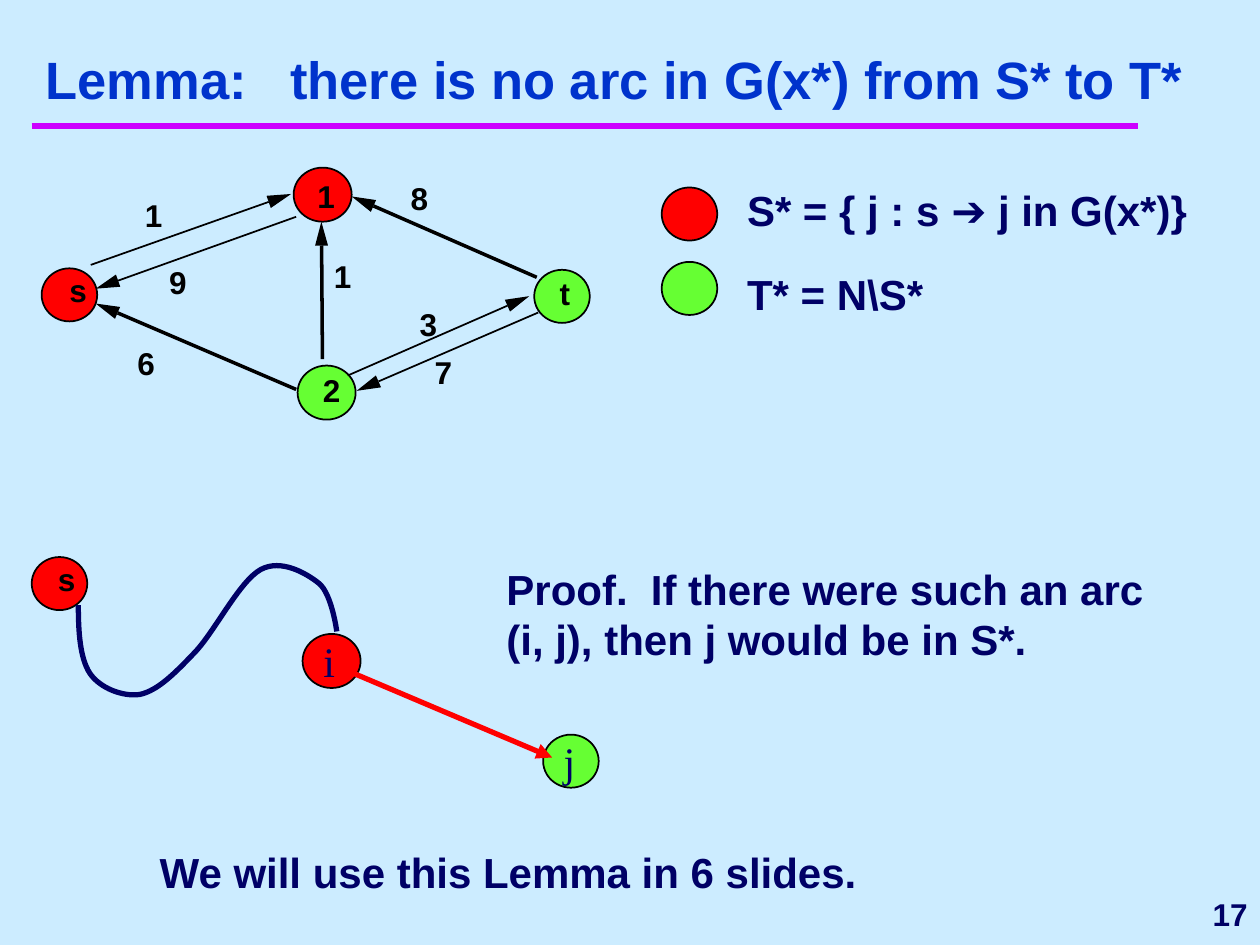
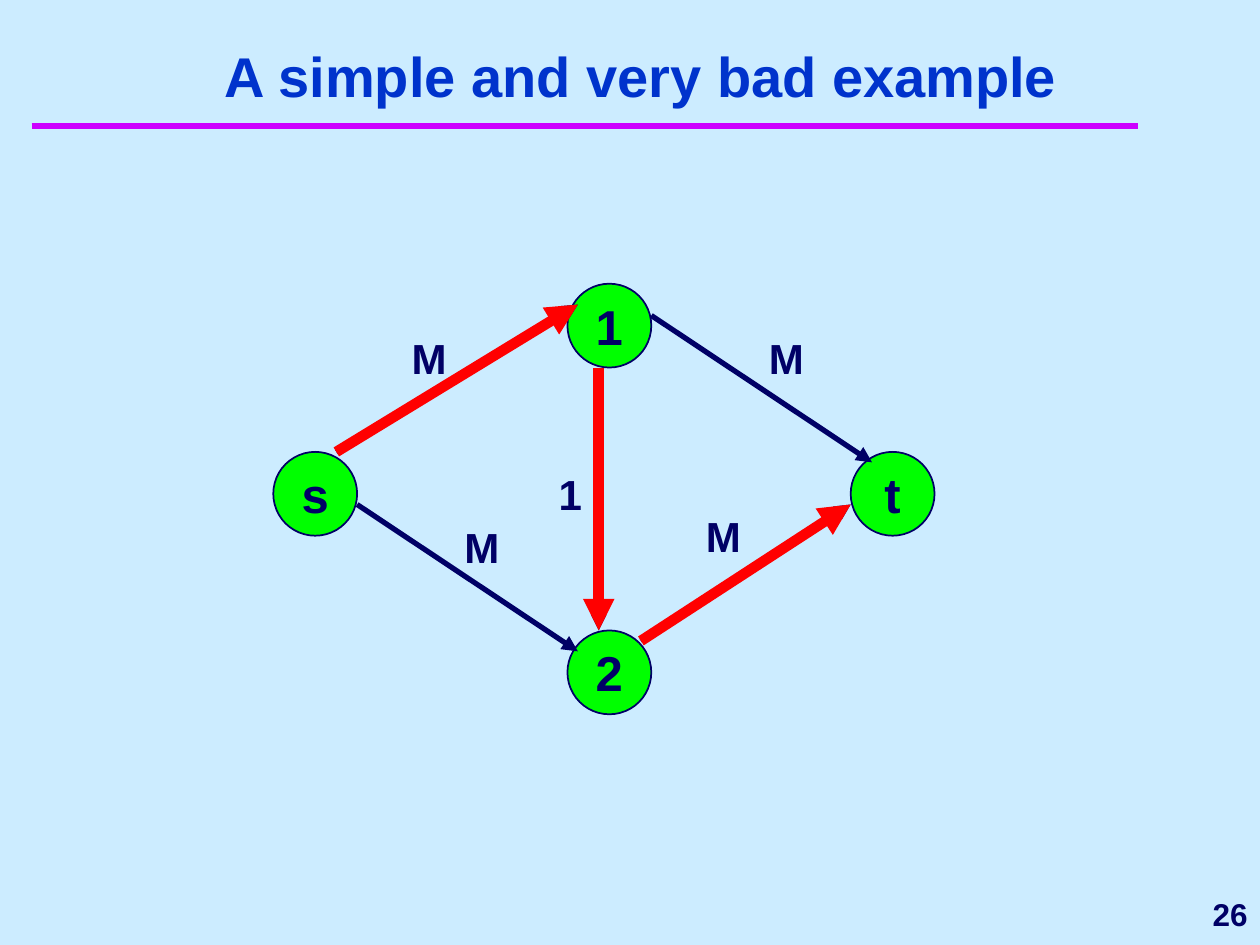
"""Build two lecture slides on residual networks and augmenting paths."""
import math

import lxml.etree
import pptx
import pptx.dml.color
import pptx.enum.shapes
import pptx.enum.text
import pptx.oxml.ns
import pptx.util

Cm, Pt = pptx.util.Cm, pptx.util.Pt
qn = pptx.oxml.ns.qn
ALIGN = pptx.enum.text.PP_ALIGN
ANCHOR = pptx.enum.text.MSO_ANCHOR
SHAPE = pptx.enum.shapes.MSO_SHAPE

SKY, BLUE, NAVY, MAGENTA = "CCECFF", "0033CC", "000066", "CC00FF"
BLACK, RED, LIME, GREEN = "000000", "FF0000", "66FF33", "00FF00"

SMALL_NODE = (1.12, 1.07)
LARGE_NODE = (1.17, 1.09)
HEAD_LENGTH, HEAD_WIDTH = 0.48, 0.26


def rgb(color):
    """Return the colour for a hex string."""
    return pptx.dml.color.RGBColor.from_string(color)


def apply(obj, values):
    """Set every attribute named in a dict of format values."""
    for name, value in values.items():
        setattr(obj, name, value)


def write(sp, text, size, color=NAVY, font="Arial", bold=True, align=ALIGN.LEFT,
          before=0, insets=(0.25, 0.13), **frame):
    """Write one formatted paragraph into a shape."""
    tf = sp.text_frame
    side, top = (Cm(v) for v in insets)
    apply(tf, {"margin_left": side, "margin_right": side, "margin_top": top,
               "margin_bottom": top, "word_wrap": True, **frame})
    p = tf.paragraphs[0]
    apply(p, {"alignment": align, "space_before": Pt(before)})
    r = p.add_run()
    r.text = text
    apply(r.font, {"name": font, "size": Pt(size), "bold": bold})
    r.font.color.rgb = rgb(color)


def add_text(s, box, text, size, **options):
    """Add a text box at a box given in centimetres."""
    sp = s.shapes.add_textbox(*(Cm(v) for v in box))
    write(sp, text, size, **options)


def add_note(s, box, text):
    """Add a body text box."""
    add_text(s, box, text, 24, before=15)


def add_mark(s, x, y, text):
    """Add a tight black label for a node or an arc."""
    add_text(s, (x, y, 0.36, 0.76), text, 18, color=BLACK, insets=(0, 0), word_wrap=False)


def add_node(s, x, y, size, fill, line=BLACK):
    """Add a filled, outlined ellipse."""
    sp = s.shapes.add_shape(SHAPE.OVAL, Cm(x), Cm(y), *(Cm(v) for v in size))
    sp.shadow.inherit = False
    sp.fill.solid()
    sp.fill.fore_color.rgb = rgb(fill)
    sp.line.color.rgb = rgb(line)
    sp.line.width = Pt(1)
    return sp


def add_line(s, start, end, color, width, arrow=False):
    """Add a straight connector, with an arrowhead at its end if asked."""
    points = (Cm(v) for v in (*start, *end))
    c = s.shapes.add_connector(pptx.enum.shapes.MSO_CONNECTOR.STRAIGHT, *points)
    c.line.color.rgb = rgb(color)
    c.line.width = Pt(width)
    spPr = c.element.spPr
    if arrow:
        lxml.etree.SubElement(spPr.find(qn("a:ln")), qn("a:tailEnd"), type="triangle")
    lxml.etree.SubElement(spPr, qn("a:effectLst"))


def add_outline(s, points, close):
    """Add a freeform through points given in centimetres."""
    points = [(Cm(x), Cm(y)) for x, y in points]
    fb = s.shapes.build_freeform(*points[0])
    fb.add_line_segments(points[1:], close=close)
    sp = fb.convert_to_shape()
    sp.shadow.inherit = False
    return sp


def add_long_arrow(s, start, tip, width):
    """Add a black line that ends in a long, narrow head."""
    (x1, y1), (x2, y2) = start, tip
    length = math.hypot(x2 - x1, y2 - y1)
    ux, uy = (x2 - x1) / length, (y2 - y1) / length
    bx, by = x2 - HEAD_LENGTH * ux, y2 - HEAD_LENGTH * uy
    dx, dy = -uy * HEAD_WIDTH / 2, ux * HEAD_WIDTH / 2
    head = add_outline(s, [tip, (bx + dx, by + dy), (bx - dx, by - dy)], True)
    head.fill.solid()
    head.fill.fore_color.rgb = rgb(BLACK)
    head.line.fill.background()
    add_line(s, start, (bx, by), BLACK, width)


def add_curve(s, points, color, width):
    """Add an open Bézier curve through a start and triples of control points."""
    sp = add_outline(s, points, False)
    sp.fill.background()
    sp.line.color.rgb = rgb(color)
    sp.line.width = Pt(width)
    segments = list(sp.element.spPr.iter(qn("a:lnTo")))
    for i in range(0, len(segments), 3):
        curve = lxml.etree.SubElement(segments[i].getparent(), qn("a:cubicBezTo"))
        for segment in segments[i:i + 3]:
            curve.append(segment[0])
            segment.getparent().remove(segment)


def add_frame(prs, title, box, size, number):
    """Add a slide with its background, rule, title and number."""
    s = prs.slides.add_slide(prs.slide_layouts[6])
    s.background.fill.solid()
    s.background.fill.fore_color.rgb = rgb(SKY)
    add_line(s, (0.64, 2.54), (22.94, 2.54), MAGENTA, 4)
    add_text(s, box, title, size, color=BLUE, align=ALIGN.CENTER,
             vertical_anchor=ANCHOR.BOTTOM)
    add_text(s, (20.52, 17.78, 4.88, 1.27), str(number), 18, align=ALIGN.RIGHT,
             vertical_anchor=ANCHOR.MIDDLE, word_wrap=False)
    return s


def add_residual_graph(s, left, top):
    """Draw the residual network with its capacities."""
    nodes = [
        ("s", 0, 2.03, SMALL_NODE, RED, 0.56, 0.05),
        ("1", 5.08, 0, LARGE_NODE, RED, 0.48, 0.18),
        ("2", 5.16, 3.99, LARGE_NODE, LIME, 0.51, 0.1),
        ("t", 9.93, 2.06, SMALL_NODE, LIME, 0.51, 0.08),
    ]
    arcs = [
        ("1", 2.08, 0.58, (0.99, 1.96), (5.03, 0.53), 1),
        ("9", 2.57, 1.93, (5.13, 0.99), (1.09, 2.44), 1),
        ("6", 1.93, 3.56, (5.13, 4.47), (1.09, 2.74), 2),
        ("8", 7.44, 0.23, (9.98, 2.21), (6.25, 0.58), 2),
        ("3", 7.62, 2.77, (6.17, 4.19), (9.83, 2.59), 1),
        ("7", 7.92, 3.73, (10.01, 2.92), (6.35, 4.5), 1),
        ("1", 5.89, 1.8, (5.66, 3.86), (5.64, 1.09), 2),
    ]
    for name, x, y, size, fill, dx, dy in nodes:
        add_node(s, left + x, top + y, size, fill)
        add_mark(s, left + x + dx, top + y + dy, name)
    for capacity, x, y, start, tip, width in arcs:
        ends = [(left + px, top + py) for px, py in (start, tip)]
        add_long_arrow(s, *ends, width)
        add_mark(s, left + x, top + y, capacity)


def add_legend(s, left, top):
    """Explain the two node colours."""
    rows = [
        (RED, 0, -0.2, 9.73, "S* = { j : s ➔ j in G(x*)}"),
        (LIME, 1.5, 1.5, 6.35, "T* = N\\S*"),
    ]
    for fill, y, text_y, width, text in rows:
        add_node(s, left, top + y, SMALL_NODE, fill)
        add_note(s, (left + 1.47, top + text_y, width, 1.27), text)


def add_proof_sketch(s, left, top):
    """Draw a walk from s to i followed by the arc (i, j)."""
    walk = [
        (0.94, 0.97),
        (0.94, 1.5), (0.97, 2.03), (1.17, 2.34),
        (1.37, 2.64), (1.83, 2.82), (2.18, 2.77),
        (2.54, 2.69), (2.87, 2.36), (3.28, 1.93),
        (3.68, 1.52), (4.19, 0.48), (4.62, 0.25),
        (5.03, 0.03), (5.54, 0.33), (5.79, 0.53),
        (6.05, 0.74), (6.15, 1.5), (6.15, 1.5),
    ]
    ends = [("i", 5.46, 1.55, LARGE_NODE, RED), ("j", 10.31, 3.58, SMALL_NODE, LIME)]
    for name, x, y, size, fill in ends:
        sp = add_node(s, left + x, top + y, size, fill)
        write(sp, name, 24, font="Times New Roman", bold=False,
              vertical_anchor=ANCHOR.MIDDLE)
    add_line(s, (left + 6.48, top + 2.34), (left + 10.49, top + 4.04), RED, 3, True)
    add_node(s, left, top, SMALL_NODE, RED)
    add_mark(s, left + 0.53, top + 0.05, "s")
    add_curve(s, [(left + x, top + y) for x, y in walk], NAVY, 3)


def add_bad_network(s, left, top):
    """Draw the four-node network and its augmenting path."""
    nodes = {"s": (0, 3.39), "1": (5.93, 0), "2": (5.93, 6.99), "t": (11.64, 3.39)}
    arcs = {
        "s1": ((1.27, 3.39), (6.14, 0.42)),
        "1t": ((7.62, 0.64), (12.07, 3.6)),
        "s2": ((1.69, 4.45), (6.14, 7.41)),
        "2t": ((7.41, 7.2), (11.64, 4.45)),
        "12": ((6.56, 1.69), (6.56, 6.99)),
    }
    capacities = [("M", 2.54, 0.85), ("M", 9.74, 0.85), ("M", 8.47, 4.45),
                  ("M", 3.6, 4.66), ("1", 5.5, 3.6)]
    augmenting = ["s1", "2t", "12"]
    for name, (x, y) in nodes.items():
        sp = add_node(s, left + x, top + y, (1.69, 1.69), GREEN, NAVY)
        write(sp, name, 28, align=ALIGN.CENTER, vertical_anchor=ANCHOR.MIDDLE,
              word_wrap=False)

    def draw(names, color, width):
        """Draw the named arcs in one style."""
        for name in names:
            ends = [(left + x, top + y) for x, y in arcs[name]]
            add_line(s, *ends, color, width, True)

    draw(arcs, NAVY, 3)
    for text, x, y in capacities:
        add_note(s, (left + x, top + y, 1.48, 1.27), text)
    draw(augmenting, RED, 6)


def add_lemma_slide(prs):
    """Add the slide with the lemma and its proof."""
    s = add_frame(prs, "Lemma:   there is no arc in G(x*) from S* to T*",
                  (0, 0.43, 24.77, 1.91), 30, 17)
    add_residual_graph(s, 0.84, 3.38)
    add_legend(s, 13.34, 3.78)
    add_note(s, (9.96, 11.23, 13.54, 2.29),
             "Proof.  If there were such an arc (i, j), then j would be in S*.")
    add_proof_sketch(s, 0.64, 11.23)
    add_note(s, (2.97, 16.94, 15.88, 1.27), "We will use this Lemma in 6 slides.")


def add_example_slide(prs):
    """Add the slide with the bad example."""
    s = add_frame(prs, "A simple and very bad example",
                  (1.07, 0.85, 23.71, 1.47), 32, 26)
    add_bad_network(s, 5.51, 5.72)


def main():
    """Build and save the presentation."""
    prs = pptx.Presentation()
    apply(prs, {"slide_width": Cm(25.4), "slide_height": Cm(19.05)})
    add_lemma_slide(prs)
    add_example_slide(prs)
    prs.save("out.pptx")


if __name__ == "__main__":
    main()
